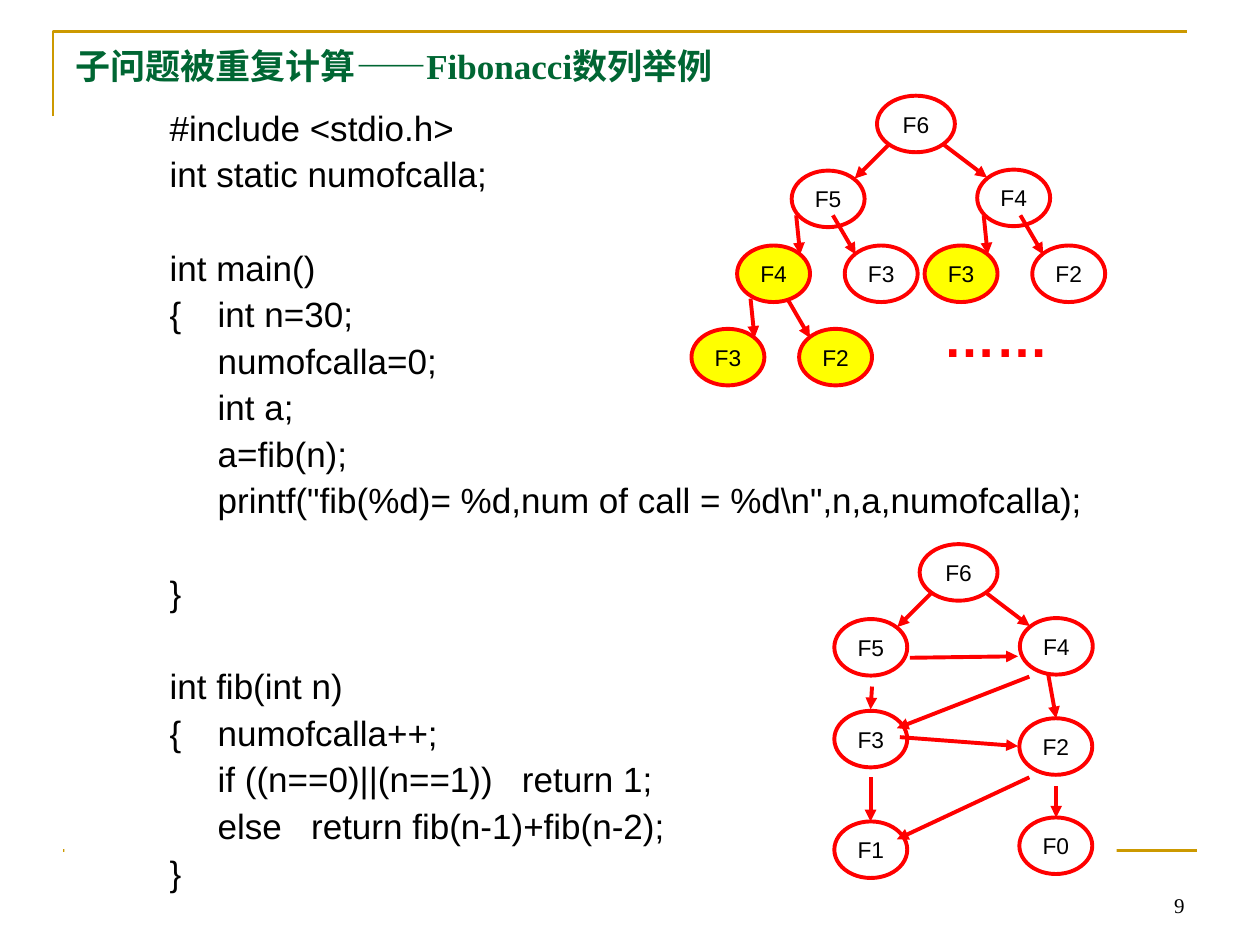
"""Build the slide on repeated subproblems in the Fibonacci sequence."""
from lxml.etree import SubElement
from pptx import Presentation
from pptx.dml.color import RGBColor
from pptx.enum.shapes import MSO_CONNECTOR as CONNECTOR, MSO_SHAPE as SHAPE
from pptx.enum.text import MSO_ANCHOR as ANCHOR, PP_ALIGN as ALIGN
from pptx.oxml.ns import qn
from pptx.util import Cm, Pt

BLACK = RGBColor(0x00, 0x00, 0x00)
WHITE = RGBColor(0xFF, 0xFF, 0xFF)
RED = RGBColor(0xFF, 0x00, 0x00)
YELLOW = RGBColor(0xFF, 0xFF, 0x00)
GREEN = RGBColor(0x00, 0x66, 0x33)
GOLD = RGBColor(0xCC, 0x99, 0x00)

CODE = r"""#include <stdio.h>
int static numofcalla;

int main()
{	int n=30;
	numofcalla=0;
	int a;
	a=fib(n);
	printf("fib(%d)= %d,num of call = %d\n",n,a,numofcalla);

}

int fib(int n)
{	numofcalla++;
	if ((n==0)||(n==1))   return 1;
	else   return fib(n-1)+fib(n-2);
}"""
LINE_HEIGHT, LINE_GAP = 21.6, 5

presentation = Presentation()
presentation.slide_width, presentation.slide_height = Cm(25.4), Cm(19.05)
slide = presentation.slides.add_slide(presentation.slide_layouts[5])
shapes = slide.shapes


def draw_line(x1, y1, x2, y2, color=RED, width=2.25, arrow=True):
    line = shapes.add_connector(CONNECTOR.STRAIGHT, Cm(x1), Cm(y1), Cm(x2), Cm(y2))
    line.line.color.rgb = color
    line.line.width = Pt(width)
    if arrow:
        SubElement(line.line._get_or_add_ln(), qn("a:tailEnd"), type="triangle")
    SubElement(line._element.spPr, qn("a:effectLst"))


def draw_node(label, left, top, width=1.47, fill=None):
    node = shapes.add_shape(SHAPE.OVAL, Cm(left), Cm(top), Cm(width), Cm(1.14))
    node.shadow.inherit = False
    if fill is None:
        node.fill.background()
    else:
        node.fill.solid()
        node.fill.fore_color.rgb = fill
    node.line.color.rgb = RED
    node.line.width = Pt(2.25)
    frame = node.text_frame
    frame.word_wrap = False
    frame.vertical_anchor = ANCHOR.MIDDLE
    paragraph = frame.paragraphs[0]
    paragraph.text = label
    paragraph.alignment = ALIGN.CENTER
    paragraph.font.name = "Arial"
    paragraph.font.size = Pt(13)
    paragraph.font.color.rgb = BLACK


outline = shapes.build_freeform(Cm(1.07), Cm(2.34))
outline.add_line_segments([(Cm(1.07), Cm(0.64)), (Cm(23.93), Cm(0.64))], close=False)
corner = outline.convert_to_shape()
corner.shadow.inherit = False
corner.fill.background()
corner.line.color.rgb = GOLD
corner.line.width = Pt(1.5)
draw_line(1.27, 17.15, 24.13, 17.15, GOLD, 1.5, arrow=False)

title = shapes.title
title.left, title.top, title.width, title.height = Cm(1.27), Cm(0.76), Cm(23.44), Cm(1.14)
title.text_frame.vertical_anchor = ANCHOR.MIDDLE
paragraph = title.text_frame.paragraphs[0]
paragraph.alignment = ALIGN.LEFT
paragraph.font.size = Pt(20)
paragraph.font.bold = True
paragraph.font.color.rgb = GREEN
for text, font_name in (("子问题被重复计算", "Times New Roman"), ("——", "Arial"),
                        ("Fibonacci数列举例", "Times New Roman")):
    run = paragraph.add_run()
    run.text = text
    run.font.name = font_name

code_box = shapes.add_textbox(Cm(1.3), Cm(2.13), Cm(21.21), Cm(16.92))
code_box.fill.solid()
code_box.fill.fore_color.rgb = WHITE
frame = code_box.text_frame
frame.word_wrap = True
frame.margin_top = Cm(0.1)
gap = 0
for number, line in enumerate(CODE.splitlines()):
    if not line:
        gap += LINE_HEIGHT + LINE_GAP
        continue
    paragraph = frame.add_paragraph() if number else frame.paragraphs[0]
    paragraph.text = line
    properties = paragraph._p.get_or_add_pPr()
    properties.set("marL", str(Cm(2.84)))
    properties.set("indent", str(Cm(-0.97)))
    tabs = SubElement(properties, qn("a:tabLst"))
    for position in (0, 5.08):
        SubElement(tabs, qn("a:tab"), pos=str(Cm(position)), algn="l")
    paragraph.line_spacing = Pt(LINE_HEIGHT)
    paragraph.space_before = Pt(gap)
    paragraph.font.name = "Arial"
    paragraph.font.size = Pt(20)
    paragraph.font.color.rgb = BLACK
    gap = LINE_GAP

for left, top in ((17.68, 1.93), (18.54, 10.97)):
    draw_node("F6", left, top, width=1.57)
    draw_node("F5", left - 1.72, top + 1.51)
    draw_node("F4", left + 2.02, top + 1.49)
    draw_line(left + 0.23, top + 0.99, left - 0.45, top + 1.67)
    draw_line(left + 1.35, top + 0.99, left + 2.22, top + 1.65)

for left, top, first, second, second_fill in (
    (14.86, 4.95, "F4", "F3", None),
    (18.64, 4.95, "F3", "F2", None),
    (13.94, 6.63, "F3", "F2", YELLOW),
):
    draw_node(first, left, top, fill=YELLOW)
    draw_node(second, left + 2.17, top, fill=second_fill)
    draw_line(left + 1.19, top - 0.61, left + 1.27, top + 0.18)
    draw_line(left + 1.93, top - 0.61, left + 2.39, top + 0.18)

for label, left, top in (("F3", 16.82, 14.33), ("F2", 20.55, 14.48),
                         ("F1", 16.82, 16.56), ("F0", 20.55, 16.48)):
    draw_node(label, left, top)

for ends in (
    (18.34, 13.26, 20.52, 13.23),
    (17.58, 13.84, 17.55, 14.3),
    (21.13, 13.59, 21.29, 14.48),
    (20.75, 13.64, 18.08, 14.68),
    (17.55, 15.67, 17.55, 16.56),
    (18.14, 14.86, 20.52, 15.04),
    (21.29, 15.85, 21.29, 16.48),
    (20.75, 15.67, 18.08, 16.92),
):
    draw_line(*ends)

for text, box, alignment, anchor, font_name, size, color, bold in (
    ("……", (18.77, 6.02, 2.62, 1.52), ALIGN.LEFT, ANCHOR.TOP, "Arial", 30, RED, True),
    ("9", (18.21, 17.35, 5.92, 1.27), ALIGN.RIGHT, ANCHOR.BOTTOM,
     "Times New Roman", 12, BLACK, False),
):
    label_box = shapes.add_textbox(*map(Cm, box))
    label_box.text_frame.word_wrap = True
    label_box.text_frame.vertical_anchor = anchor
    paragraph = label_box.text_frame.paragraphs[0]
    paragraph.text = text
    paragraph.alignment = alignment
    paragraph.font.name = font_name
    paragraph.font.size = Pt(size)
    paragraph.font.bold = bold
    paragraph.font.color.rgb = color

presentation.save("out.pptx")
